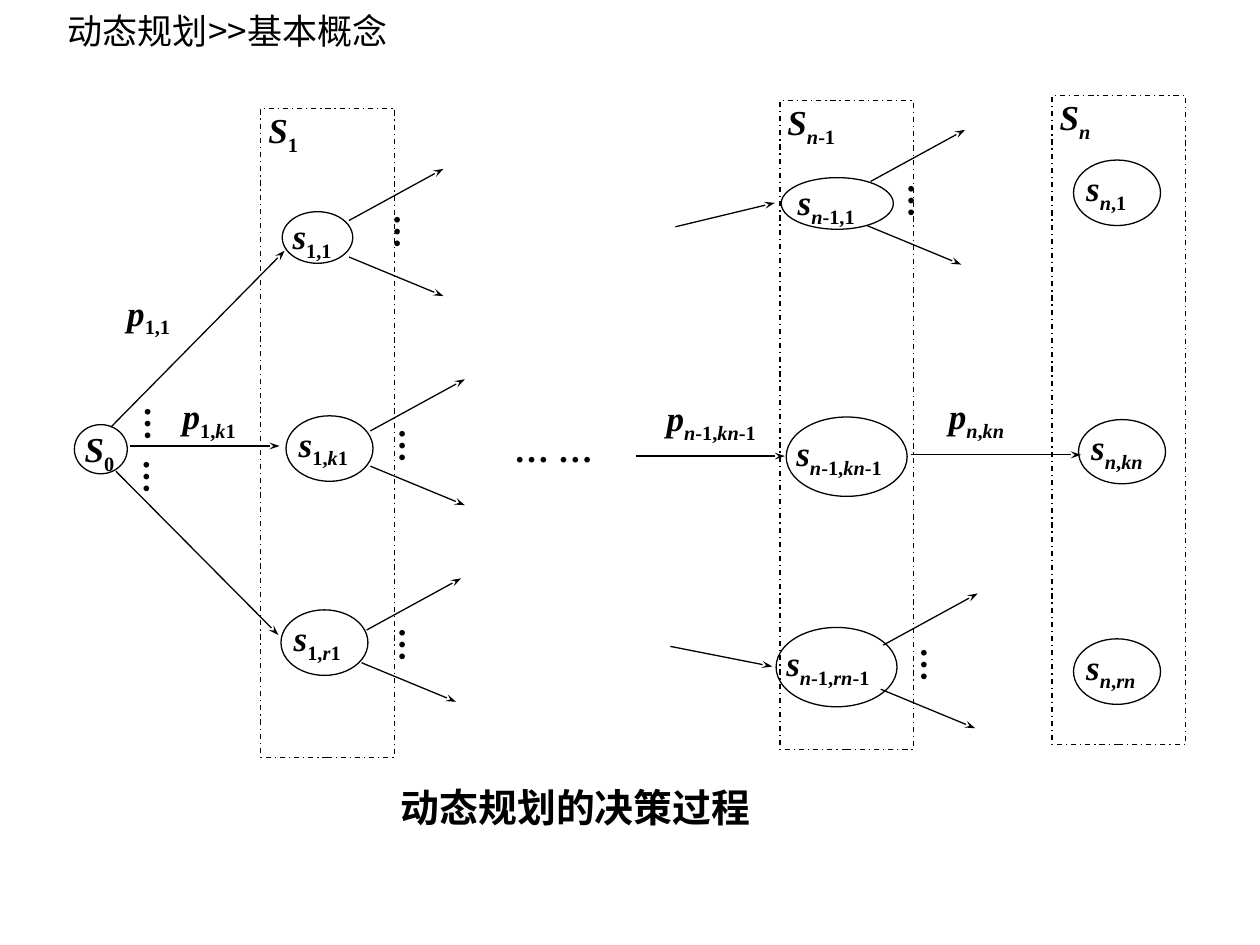
"""Draw the multistage decision process of dynamic programming."""
from itertools import groupby
from typing import NamedTuple

from lxml import etree
from pptx import Presentation
from pptx import util as u
from pptx.dml import color
from pptx.enum import dml, shapes, text
from pptx.oxml import ns

BLACK = "000000"
SERIF = "Times New Roman"
SANS = "Noto Sans CJK SC"
SUBSCRIPT = "-25000"
FAN_UP, FAN_DOWN = (0.75, -0.41), (0.75, 0.31)

Point = tuple[float, float]
Margins = tuple[float, float, float, float]
NO_MARGINS = (0, 0, 0, 0)
NODE_MARGINS = (0, 0.01, 0, 0)


class Area(NamedTuple):
    left: float
    top: float
    width: float
    height: float


class Symbol(NamedTuple):
    letter: str
    index: str
    area: Area
    margins: Margins = NO_MARGINS


class Fan(NamedTuple):
    upper: Point
    lower: Point


STAGES = [
    Symbol("S", "n-1", Area(6.19, 0.8, 1.06, 5.15)),
    Symbol("S", "n", Area(8.35, 0.76, 1.06, 5.15)),
    Symbol("S", "1", Area(2.07, 0.86, 1.06, 5.15)),
]
STATES = [
    Symbol("S", "0", Area(0.59, 3.37, 0.42, 0.39), (0.02, 0, 0, 0)),
    Symbol("s", "1,1", Area(2.24, 1.68, 0.56, 0.41)),
    Symbol("s", "1,k1", Area(2.27, 3.3, 0.69, 0.52), NODE_MARGINS),
    Symbol("s", "1,r1", Area(2.23, 4.84, 0.69, 0.52), NODE_MARGINS),
    Symbol("s", "n-1,1", Area(6.2, 1.41, 0.89, 0.41)),
    Symbol("s", "n,1", Area(8.52, 1.27, 0.69, 0.52), NODE_MARGINS),
    Symbol("s", "n,kn", Area(8.56, 3.33, 0.69, 0.51), NODE_MARGINS),
    Symbol("s", "n,rn", Area(8.52, 5.07, 0.69, 0.52), NODE_MARGINS),
]
WIDE_STATES = [
    Symbol("s", "n-1,kn-1", Area(6.24, 3.31, 0.96, 0.63)),
    Symbol("s", "n-1,rn-1", Area(6.16, 4.98, 0.96, 0.63)),
]
DECISIONS = [
    Symbol("p", "1,1", Area(1.01, 2.31, 0.42, 0.4)),
    Symbol("p", "1,k1", Area(1.45, 3.13, 0.48, 0.4)),
    Symbol("p", "n-1,kn-1", Area(5.29, 3.15, 0.87, 0.39)),
    Symbol("p", "n,kn", Area(7.53, 3.13, 0.61, 0.39)),
]
FANS = [
    Fan((2.77, 1.75), (2.77, 2.04)),
    Fan((2.94, 3.42), (2.94, 3.7)),
    Fan((2.91, 5), (2.87, 5.26)),
    Fan((6.91, 1.44), (6.88, 1.79)),
    Fan((7.01, 5.12), (6.99, 5.47)),
]
TRANSITIONS = [
    ((0.88, 3.39), (2.26, 1.99)),
    ((1.03, 3.54), (2.22, 3.54)),
    ((0.92, 3.74), (2.21, 5.04)),
    ((5.36, 1.8), (6.15, 1.61)),
    ((5.05, 3.62), (6.23, 3.62)),
    ((5.32, 5.13), (6.13, 5.29)),
    ((7.23, 3.61), (8.58, 3.61)),
]
VERTICAL_DOTS = [(3.19, 1.7), (1.21, 3.23), (1.2, 3.65), (3.23, 3.4),
                 (3.23, 4.98), (7.27, 1.46), (7.37, 5.14)]


def inches(values) -> list:
    return [u.Inches(value) for value in values]


def rgb(value: str) -> color.RGBColor:
    return color.RGBColor.from_string(value)


def apply(target, formats: dict) -> None:
    for name, value in formats.items():
        setattr(target, name, value)


def style_line(line, dash=None) -> None:
    line.color.rgb = rgb(BLACK)
    apply(line, {"width": u.Pt(0.75), "dash_style": dash})


def set_frame(box, margins: Margins, wrap: bool = True) -> None:
    left, top, right, bottom = inches(margins)
    apply(box.text_frame, {
        "margin_left": left, "margin_top": top, "margin_right": right,
        "margin_bottom": bottom, "word_wrap": wrap,
        "vertical_anchor": text.MSO_ANCHOR.TOP})


def add_span(para, words: str, size: float = 20, bold: bool = True,
             italic: bool = False, font: str = SERIF):
    span = para.add_run()
    span.text = words
    apply(span.font, {"name": font, "size": u.Pt(size), "bold": bold, "italic": italic})
    span.font.color.rgb = rgb(BLACK)
    return span


def write_symbol(box, symbol: Symbol, spacing: float = 1.0) -> None:
    para = box.text_frame.paragraphs[0]
    apply(para, {"alignment": text.PP_ALIGN.JUSTIFY, "line_spacing": spacing})
    add_span(para, symbol.letter, italic=True)
    for italic, letters in groupby(symbol.index, str.isalpha):
        span = add_span(para, "".join(letters), italic=italic)
        span.font._element.set("baseline", SUBSCRIPT)


def add_outline(page, kind, area: Area, dash=None):
    shape = page.shapes.add_shape(kind, *inches(area))
    shape.shadow.inherit = False
    shape.fill.background()
    style_line(shape.line, dash)
    return shape


def add_text(page, area: Area, margins: Margins = NO_MARGINS, wrap: bool = True):
    box = page.shapes.add_textbox(*inches(area))
    set_frame(box, margins, wrap)
    return box


def add_words(page, area: Area, words: str, spacing: float = 1.0,
              margins: Margins = NO_MARGINS, wrap: bool = True, **formats):
    box = add_text(page, area, margins, wrap)
    para = box.text_frame.paragraphs[0]
    align = text.PP_ALIGN.JUSTIFY if wrap else text.PP_ALIGN.LEFT
    apply(para, {"alignment": align, "line_spacing": spacing})
    span = add_span(para, words, **formats)
    if "…" not in words:
        etree.SubElement(span.font._element, ns.qn("a:ea"), typeface=SANS)
    return box


def add_arrow(page, start: Point, end: Point) -> None:
    arrow = page.shapes.add_connector(
        shapes.MSO_CONNECTOR.STRAIGHT, *inches(start + end))
    style_line(arrow.line)
    etree.SubElement(arrow.line._get_or_add_ln(), ns.qn("a:tailEnd"),
                     type="stealth", w="sm")
    etree.SubElement(arrow._element.spPr, ns.qn("a:effectLst"))


def main() -> None:
    deck = Presentation()
    deck.slide_width, deck.slide_height = inches((10, 7.5))
    page = deck.slides.add_slide(deck.slide_layouts[6])
    add_words(page, Area(0.44, -0.11, 2.88, 0.57), "动态规划>>基本概念", 1.4,
              (0.1, 0.05, 0.1, 0.05), wrap=False, bold=False, font=SANS)
    for stage in STAGES:
        frame = add_outline(page, shapes.MSO_SHAPE.RECTANGLE, stage.area,
                            dml.MSO_LINE.DASH_DOT)
        set_frame(frame, (0.06, 0, 0.1, 0.05))
        write_symbol(frame, stage)
    for state in STATES:
        node = add_outline(page, shapes.MSO_SHAPE.OVAL, state.area)
        set_frame(node, state.margins)
        write_symbol(node, state, 0.8)
    for state in WIDE_STATES:
        add_outline(page, shapes.MSO_SHAPE.OVAL, state.area)
        label = Area(state.area.left + 0.08, state.area.top + 0.15, 0.78, 0.32)
        write_symbol(add_text(page, label), state, 0.8)
    for decision in DECISIONS:
        write_symbol(add_text(page, decision.area), decision)
    for start, end in TRANSITIONS:
        add_arrow(page, start, end)
    for fan in FANS:
        for (x, y), (dx, dy) in ((fan.upper, FAN_UP), (fan.lower, FAN_DOWN)):
            add_arrow(page, (x, y), (x + dx, y + dy))
    for left, top in VERTICAL_DOTS:
        dots = add_words(page, Area(left, top, 0.2, 0.32), "…", 0.96)
        dots.text_frame._txBody.bodyPr.set("vert", "eaVert")
    add_words(page, Area(4.08, 3.39, 0.69, 0.54), "… …")
    add_words(page, Area(3.18, 6.26, 3.22, 0.4), "动态规划的决策过程", 0.9, size=22.2)
    deck.save("out.pptx")


if __name__ == "__main__":
    main()
